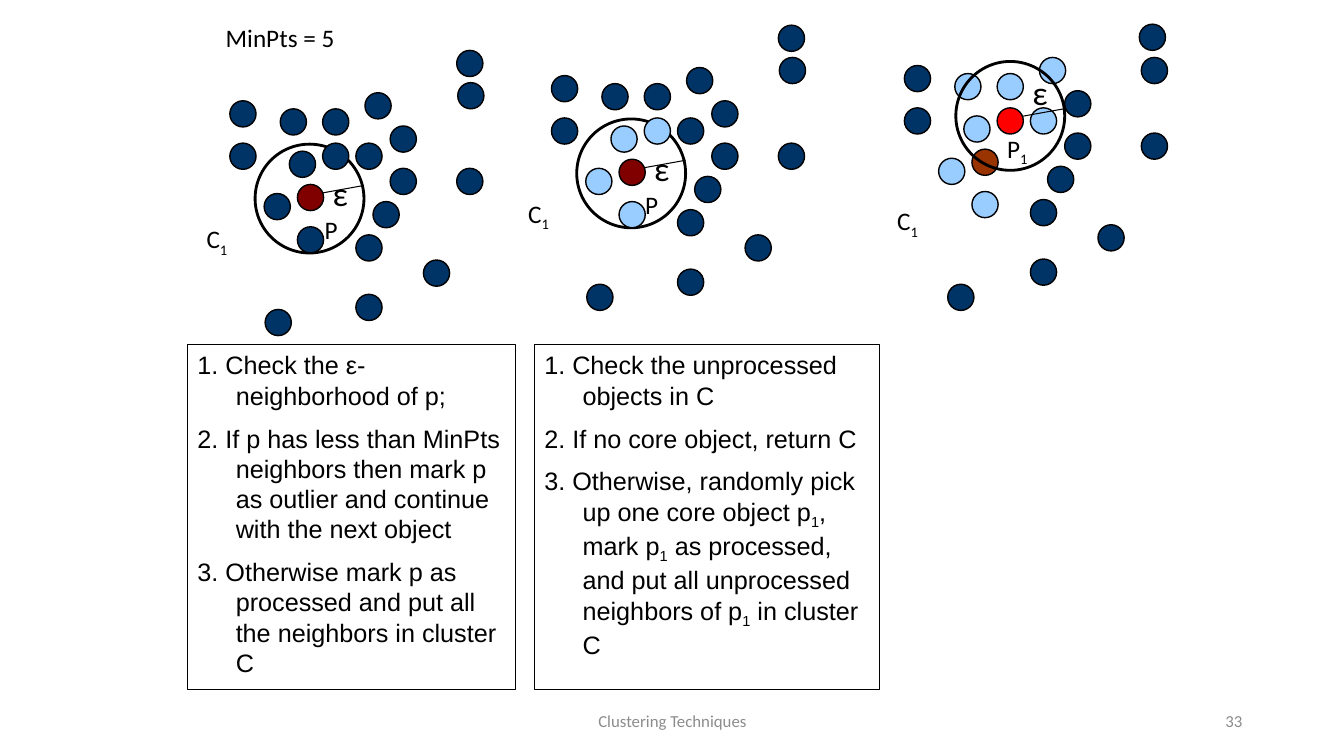
from dataclasses import dataclass

from lxml.etree import SubElement
from pptx import Presentation
from pptx.dml.color import RGBColor
from pptx.enum.shapes import MSO_CONNECTOR as Connector, MSO_SHAPE as Preset
from pptx.enum.text import MSO_ANCHOR as Anchor, MSO_AUTO_SIZE as AutoSize, PP_ALIGN as Align
from pptx.oxml.ns import qn
from pptx.shapes.autoshape import Shape
from pptx.shapes.shapetree import _BaseGroupShapes as Shapes
from pptx.text.text import TextFrame
from pptx.util import Emu, Pt

PX = 9144  # one px is a hundredth of an inch
DOT, RING, HANGING = 26, 108, 38

BLACK = RGBColor(0x00, 0x00, 0x00)
GREY = RGBColor(0x8C, 0x8C, 0x8C)
NAVY = RGBColor(0x00, 0x33, 0x66)
LIGHT_BLUE = RGBColor(0x99, 0xCC, 0xFF)
MAROON = RGBColor(0x80, 0x00, 0x00)
BROWN = RGBColor(0x99, 0x33, 0x00)
RED = RGBColor(0xFF, 0x00, 0x00)

Point = tuple[int, int]

# The cluster as placed in the first panel; the other panels shift it
CLUSTER: list[Point] = [
    (278, 108), (287, 150), (320, 142), (262, 192), (353, 142), (320, 108),
    (295, 225), (387, 125), (362, 92), (387, 167), (370, 200), (228, 142),
    (353, 233), (228, 100), (420, 258), (353, 292), (295, 183),
]
P1, P = 2, 16  # positions of the two core objects in CLUSTER


@dataclass(frozen=True)
class Label:
    text: str
    left: int
    top: int
    width: int
    height: int = 40
    size: int = 18
    color: RGBColor = BLACK
    align: Align = Align.LEFT
    anchor: Anchor = Anchor.TOP


@dataclass(frozen=True)
class Panel:
    shift: Point
    core: int
    colors: dict[int, RGBColor]
    strays: list[Point]
    ring: Point  # from the core dot
    epsilon: Point  # from the core dot
    labels: list[Label]
    grouped: bool = False


@dataclass(frozen=True)
class StepBox:
    left: int
    width: int
    steps: list[str]


PANELS = [
    Panel((0, 0), P, {P: MAROON},
          [(454, 82), (453, 50), (453, 167), (263, 307)], (-42, -40), (25, -16),
          [Label("C_1", 195, 217, 58), Label("P", 312, 208, 42)]),
    Panel((319, -25), P, {P: MAROON} | dict.fromkeys((1, 2, 3, 6), LIGHT_BLUE),
          [(773, 57), (772, 25), (772, 142), (582, 282)], (-42, -40), (25, -16),
          [Label("C_1", 514, 192, 58), Label("P", 630, 183, 42)]),
    Panel((669, -35), P1,
          {P1: RED, P: BROWN} | dict.fromkeys((0, 1, 3, 4, 5, 6, 8), LIGHT_BLUE),
          [(1132, 57), (1130, 24), (1132, 132), (940, 282)], (-41, -46), (25, -41),
          [Label("C_1", 880, 199, 47), Label("P_1", 989, 127, 58)], grouped=True),
]

STEP_BOXES = [
    StepBox(186, 325, [
        "1. Check the ε-neighborhood of p;",
        "2. If p has less than MinPts neighbors then mark p as outlier "
        "and continue with the next object",
        "3. Otherwise mark p as processed and put all the neighbors in cluster C",
    ]),
    StepBox(530, 342, [
        "1. Check the unprocessed objects in C",
        "2. If no core object, return C",
        "3. Otherwise, randomly pick up one core object p_1, mark p_1 as processed, "
        "and put all unprocessed neighbors of p_1 in cluster C",
    ]),
]

CAPTIONS = [
    Label("MinPts = 5", 214, 17, 275),
    Label("Clustering Techniques", 442, 695, 450, 40, 12, GREY, Align.CENTER, Anchor.MIDDLE),
    Label("33", 942, 695, 300, 40, 12, GREY, Align.RIGHT, Anchor.MIDDLE),
]


def px(*lengths: int) -> list[Emu]:
    return [Emu(length * PX) for length in lengths]


def offset(start: Point, move: Point) -> Point:
    return start[0] + move[0], start[1] + move[1]


def write(frame: TextFrame, lines: list[str], font: str, size: int,
          color: RGBColor = BLACK, align: Align = Align.LEFT, hanging: int = 0) -> None:
    """Write one paragraph a line; the character after "_" is a subscript."""
    frame.word_wrap = True
    for index, line in enumerate(lines):
        paragraph = frame.add_paragraph() if index else frame.paragraphs[0]
        paragraph.alignment = align
        if index:
            paragraph.space_before = Pt(size / 2)
        if hanging:
            properties = paragraph._p.get_or_add_pPr()
            properties.set("marL", str(hanging * PX))
            properties.set("indent", str(-hanging * PX))
        paragraph.font.name, paragraph.font.size = font, Pt(size)
        paragraph.font.color.rgb = color
        plain, *rest = line.split("_")
        paragraph.add_run().text = plain
        for piece in rest:
            subscript = paragraph.add_run()
            subscript.text = piece[0]
            subscript._r.get_or_add_rPr().set("baseline", "-25000")
            if piece[1:]:
                paragraph.add_run().text = piece[1:]


def add_label(shapes: Shapes, label: Label) -> None:
    frame = shapes.add_textbox(*px(label.left, label.top, label.width, label.height)).text_frame
    frame.vertical_anchor = label.anchor
    write(frame, [label.text], "Calibri", label.size, label.color, label.align)


def add_outline(shapes: Shapes, preset: Preset, box: tuple[int, int, int, int],
                weight: float, fill: RGBColor | None = None) -> Shape:
    shape = shapes.add_shape(preset, *px(*box))
    shape.shadow.inherit = False
    if fill is None:
        shape.fill.background()
    else:
        shape.fill.solid()
        shape.fill.fore_color.rgb = fill
    shape.line.color.rgb, shape.line.width = BLACK, Pt(weight)
    return shape


def add_dot(shapes: Shapes, place: Point, color: RGBColor) -> None:
    add_outline(shapes, Preset.OVAL, (*place, DOT, DOT), 1, color)


def add_radius(shapes: Shapes, core: Point) -> None:
    start, end = offset(core, (16, 10)), offset(core, (66, 1))
    radius = shapes.add_connector(Connector.STRAIGHT, *px(*start, *end))
    radius.line.color.rgb, radius.line.width = BLACK, Pt(0.75)
    SubElement(radius._element.spPr, qn("a:effectLst"))


def add_panel(slide_shapes: Shapes, panel: Panel) -> None:
    shapes = slide_shapes.add_group_shape().shapes if panel.grouped else slide_shapes
    core = offset(CLUSTER[panel.core], panel.shift)
    ring_box = (*offset(core, panel.ring), RING, RING)
    if not panel.grouped:
        add_outline(shapes, Preset.OVAL, ring_box, 2)
    for index, place in enumerate(CLUSTER):
        if index != panel.core:
            add_dot(shapes, offset(place, panel.shift), panel.colors.get(index, NAVY))
    for place in panel.strays:
        add_dot(shapes, place, NAVY)
    # In the grouped panel the neighborhood ring lies over the dots
    if panel.grouped:
        add_outline(shapes, Preset.OVAL, ring_box, 2)
    add_radius(shapes, core)
    add_dot(shapes, core, panel.colors[panel.core])
    add_label(shapes, Label("ε", *offset(core, panel.epsilon), 26, 50, 24))
    for label in panel.labels:
        add_label(shapes, label)


def add_step_box(shapes: Shapes, box: StepBox) -> None:
    shape = add_outline(shapes, Preset.RECTANGLE, (box.left, 342, box.width, 342), 0.75)
    frame = shape.text_frame
    frame.vertical_anchor = Anchor.TOP
    frame.auto_size = AutoSize.NONE
    write(frame, box.steps, "Arial", 18, hanging=HANGING)


def main() -> None:
    presentation = Presentation()
    presentation.slide_width, presentation.slide_height = px(1333, 750)
    slide = presentation.slides.add_slide(presentation.slide_layouts[6])
    for caption in CAPTIONS:
        add_label(slide.shapes, caption)
    for panel in PANELS:
        add_panel(slide.shapes, panel)
    for box in STEP_BOXES:
        add_step_box(slide.shapes, box)
    presentation.save("out.pptx")


if __name__ == "__main__":
    main()
